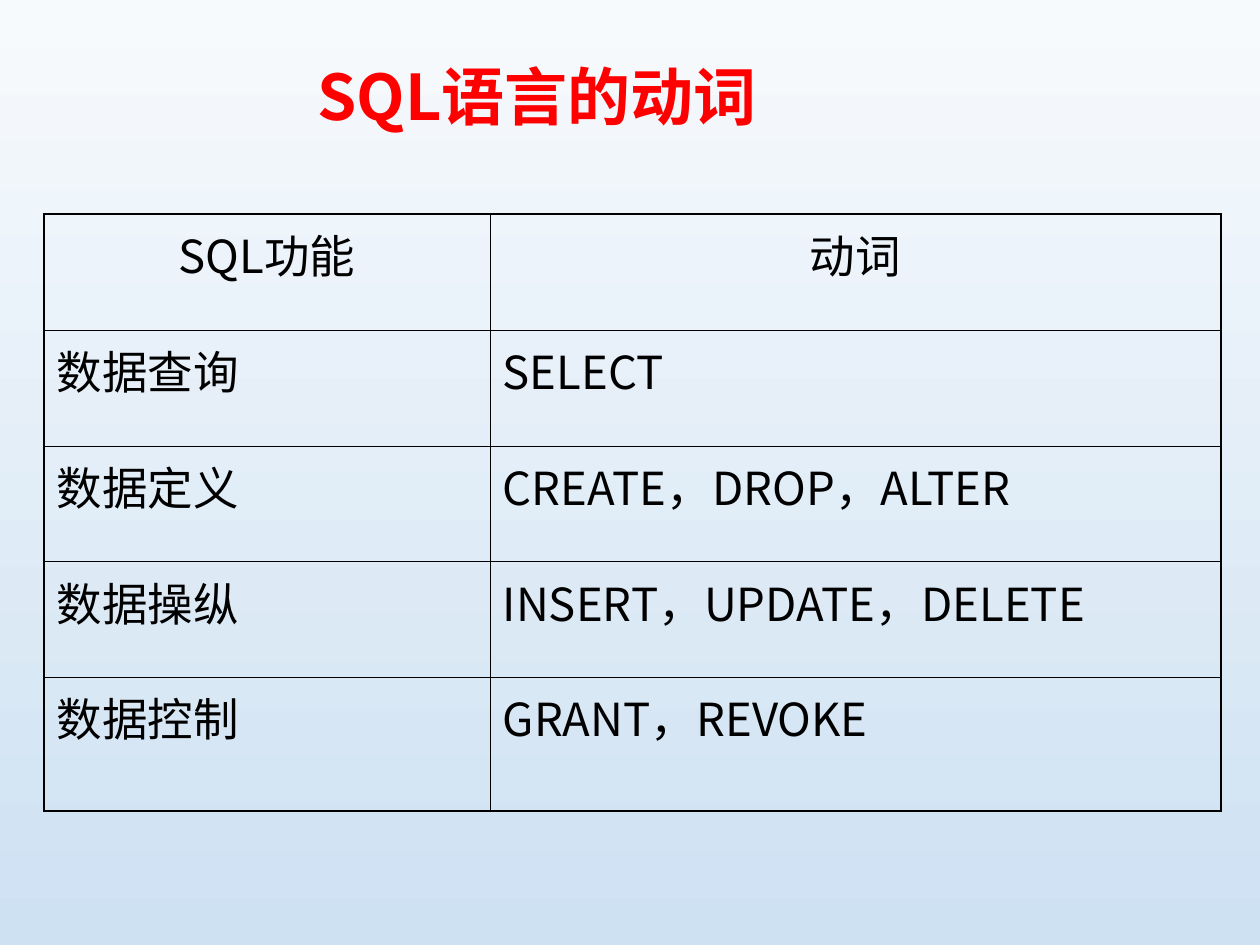
"""Build a slide with a table of SQL functions and their verbs."""
from dataclasses import dataclass

from lxml import etree
from pptx import Presentation
from pptx.dml.color import RGBColor
from pptx.enum.text import MSO_ANCHOR, PP_ALIGN
from pptx.oxml.ns import qn
from pptx.util import Inches, Pt

CENTER, LEFT = PP_ALIGN.CENTER, PP_ALIGN.LEFT
MIDDLE = MSO_ANCHOR.MIDDLE

TITLE = "SQL语言的动词"
ROWS = [
    ("SQL功能", "动词"),
    ("数据查询", "SELECT"),
    ("数据定义", "CREATE，DROP，ALTER"),
    ("数据操纵", "INSERT，UPDATE，DELETE"),
    ("数据控制", "GRANT，REVOKE"),
]
SLIDE_SIZE = (10, 7.5)
TITLE_BOX = (2.42, 0.42, 5.16, 0.75)
TABLE_ORIGIN = (0.35, 1.7)
COLUMN_WIDTHS = (3.54, 5.8)
ROW_HEIGHTS = [0.92] * (len(ROWS) - 1) + [1.06]


@dataclass(frozen=True)
class Theme:
    font: str = "Noto Sans CJK JP"
    title_size: int = 36
    cell_size: int = 26
    title_color: str = "FF0000"
    ink: str = "000000"
    background: tuple = ("F7FAFD", "CEE1F2")
    outer_line: float = 1.08
    inner_line: float = 0.45


THEME = Theme()


def format_text(paragraph, size, color, bold, alignment):
    paragraph.alignment = alignment
    for run in paragraph.runs:
        font = run.font
        font.name, font.size, font.bold = THEME.font, Pt(size), bold
        font.color.rgb = RGBColor.from_string(color)
        east_asian = etree.SubElement(font._element, qn("a:ea"))
        east_asian.set("typeface", THEME.font)


def add_borders(cell, outer_sides):
    properties = cell._tc.get_or_add_tcPr()
    for side in "LRTB":
        width = THEME.outer_line if side in outer_sides else THEME.inner_line
        line = etree.SubElement(properties, qn(f"a:ln{side}"), w=str(Pt(width)))
        fill = etree.SubElement(line, qn("a:solidFill"))
        etree.SubElement(fill, qn("a:srgbClr"), val=THEME.ink)


def paint_background(slide):
    fill = slide.background.fill
    fill.gradient()
    fill.gradient_angle = 270
    for stop, color in zip(fill.gradient_stops, THEME.background):
        stop.color.rgb = RGBColor.from_string(color)


def add_title(slide):
    title = slide.shapes.title
    title.left, title.top, title.width, title.height = map(Inches, TITLE_BOX)
    title.text_frame.text = TITLE
    title.text_frame.vertical_anchor = MIDDLE
    paragraph = title.text_frame.paragraphs[0]
    paragraph.line_spacing = 0.9
    format_text(paragraph, THEME.title_size, THEME.title_color, True, LEFT)


def add_verb_table(slide):
    size = (sum(COLUMN_WIDTHS), sum(ROW_HEIGHTS))
    table = slide.shapes.add_table(
        len(ROWS), len(COLUMN_WIDTHS), *map(Inches, TABLE_ORIGIN + size)
    ).table
    table.first_row = table.horz_banding = False
    for column, width in zip(table.columns, COLUMN_WIDTHS):
        column.width = Inches(width)
    for row, height in zip(table.rows, ROW_HEIGHTS):
        row.height = Inches(height)
    last_row, last_column = len(ROWS) - 1, len(COLUMN_WIDTHS) - 1
    for row_index, texts in enumerate(ROWS):
        for column_index, text in enumerate(texts):
            cell = table.cell(row_index, column_index)
            cell.text_frame.text = text
            alignment = CENTER if row_index == 0 else LEFT
            format_text(cell.text_frame.paragraphs[0], THEME.cell_size,
                        THEME.ink, False, alignment)
            edges = {"L": column_index == 0, "R": column_index == last_column,
                     "T": row_index == 0, "B": row_index == last_row}
            add_borders(cell, [side for side, is_outer in edges.items() if is_outer])
            cell.fill.background()


def main():
    presentation = Presentation()
    presentation.slide_width, presentation.slide_height = map(Inches, SLIDE_SIZE)
    slide = presentation.slides.add_slide(presentation.slide_layouts[5])
    paint_background(slide)
    add_title(slide)
    add_verb_table(slide)
    presentation.save("out.pptx")


if __name__ == "__main__":
    main()
